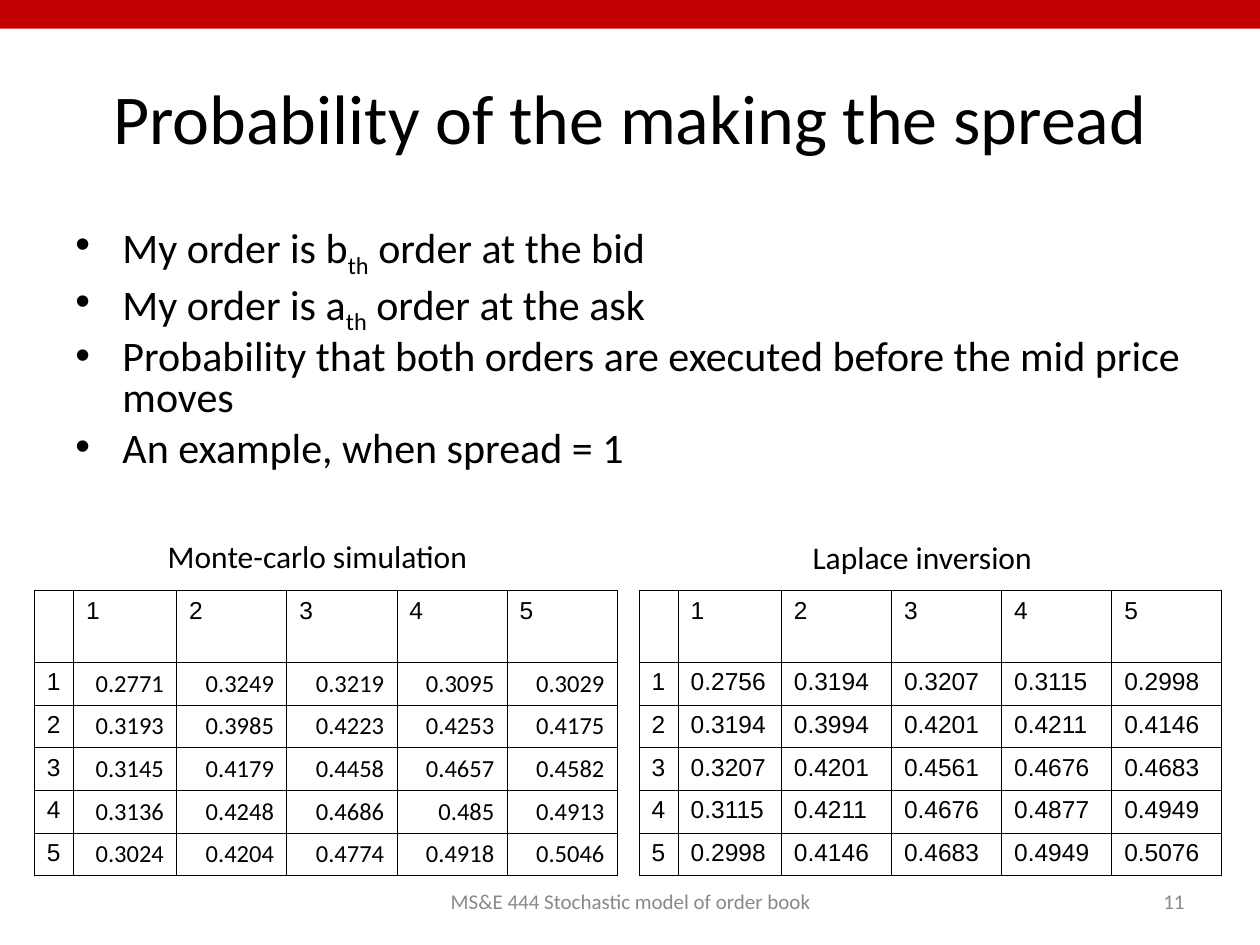
from lxml.etree import SubElement
from pptx import Presentation
from pptx.dml.color import RGBColor
from pptx.enum.shapes import MSO_SHAPE
from pptx.enum.text import MSO_ANCHOR, PP_ALIGN
from pptx.oxml import parse_xml
from pptx.oxml.ns import qn
from pptx.util import Cm, Pt


def color(code):
    return RGBColor.from_string(code)


def write(para, text, size, face="Calibri", code="000000"):
    run = para.add_run()
    run.text = text
    run.font.size = Pt(size)
    run.font.name = face
    run.font.color.rgb = color(code)
    return run


deck = Presentation()
deck.slide_width, deck.slide_height = Cm(25.4), Cm(19.05)
slide = deck.slides.add_slide(deck.slide_layouts[6])
shapes = slide.shapes

labels = [
    ("Probability of the making the spread", 1.27, 0.76, 22.86, 3.18, 40, "000000", PP_ALIGN.CENTER),
    ("Monte-carlo simulation", 1.3, 10.7, 10.2, 1.02, 18, "000000", PP_ALIGN.CENTER),
    ("Laplace inversion", 13.49, 10.72, 10.2, 1.02, 18, "000000", PP_ALIGN.CENTER),
    ("MS&E 444 Stochastic model of order book", 8.69, 17.65, 8.05, 1.02, 12, "898989", PP_ALIGN.CENTER),
    ("11", 18.21, 17.65, 5.92, 1.02, 12, "898989", PP_ALIGN.RIGHT),
]
for text, left, top, width, height, size, code, align in labels:
    frame = shapes.add_textbox(Cm(left), Cm(top), Cm(width), Cm(height)).text_frame
    frame.word_wrap = True
    frame.vertical_anchor = MSO_ANCHOR.MIDDLE
    para = frame.paragraphs[0]
    para.alignment = align
    write(para, text, size, code=code)

points = [
    ["My order is b", "th", " order at the bid"],
    ["My order is a", "th", " order at the ask"],
    ["Probability that both orders are executed before the mid price moves"],
    ["An example, when spread = 1"],
]
frame = shapes.add_textbox(Cm(1.27), Cm(4.45), Cm(22.86), Cm(6.48)).text_frame
frame.word_wrap = True
for i, parts in enumerate(points):
    para = frame.add_paragraph() if i else frame.paragraphs[0]
    para.line_spacing = 0.8
    para.space_before = Pt(6)
    props = para._p.get_or_add_pPr()
    props.set("marL", str(Cm(0.95)))
    props.set("indent", str(-Cm(0.95)))
    SubElement(props, qn("a:buFont"), typeface="Arial")
    SubElement(props, qn("a:buChar"), char="•")
    for part in parts:
        run = write(para, part, 24)
        if part == "th":
            run.font._element.set("baseline", "-25000")

monte = [
    ["0.2771", "0.3249", "0.3219", "0.3095", "0.3029"],
    ["0.3193", "0.3985", "0.4223", "0.4253", "0.4175"],
    ["0.3145", "0.4179", "0.4458", "0.4657", "0.4582"],
    ["0.3136", "0.4248", "0.4686", "0.485", "0.4913"],
    ["0.3024", "0.4204", "0.4774", "0.4918", "0.5046"],
]
laplace = [
    ["0.2756", "0.3194", "0.3207", "0.3115", "0.2998"],
    ["0.3194", "0.3994", "0.4201", "0.4211", "0.4146"],
    ["0.3207", "0.4201", "0.4561", "0.4676", "0.4683"],
    ["0.3115", "0.4211", "0.4676", "0.4877", "0.4949"],
    ["0.2998", "0.4146", "0.4683", "0.4949", "0.5076"],
]
border = (
    '<a:{} xmlns:a="http://schemas.openxmlformats.org/drawingml/2006/main" w="5715">'
    '<a:solidFill><a:srgbClr val="000000"/></a:solidFill></a:{}>'
)
widths = [0.79, 2.08] + [2.22] * 4
heights = [1.44] + [0.86] * 5
for left, data, face, align, anchor in [
    (0.69, monte, "Calibri", PP_ALIGN.RIGHT, MSO_ANCHOR.BOTTOM),
    (12.88, laplace, "Arial", PP_ALIGN.LEFT, MSO_ANCHOR.TOP),
]:
    table = shapes.add_table(
        6, 6, Cm(left), Cm(11.91), Cm(sum(widths)), Cm(sum(heights))
    ).table
    table.first_row = table.horz_banding = False
    for col, width in zip(table.columns, widths):
        col.width = Cm(width)
    for row, height in zip(table.rows, heights):
        row.height = Cm(height)
    grid = [["", "1", "2", "3", "4", "5"]]
    grid += [[str(n), *vals] for n, vals in enumerate(data, 1)]
    for r, line in enumerate(grid):
        for c, text in enumerate(line):
            cell = table.cell(r, c)
            inner = r > 0 and c > 0
            cell.vertical_anchor = anchor if inner else MSO_ANCHOR.TOP
            para = cell.text_frame.paragraphs[0]
            para.alignment = align if inner else PP_ALIGN.LEFT
            if text:
                write(para, text, 14, face if inner else "Arial")
            props = cell._tc.get_or_add_tcPr()
            for side in ("lnL", "lnR", "lnT", "lnB"):
                props.append(parse_xml(border.format(side, side)))
            cell.fill.background()

bar = shapes.add_shape(MSO_SHAPE.RECTANGLE, 0, 0, Cm(25.4), Cm(0.58))
bar.shadow.inherit = False
bar.fill.solid()
bar.fill.fore_color.rgb = color("C00000")
bar.line.fill.background()

deck.save("out.pptx")
